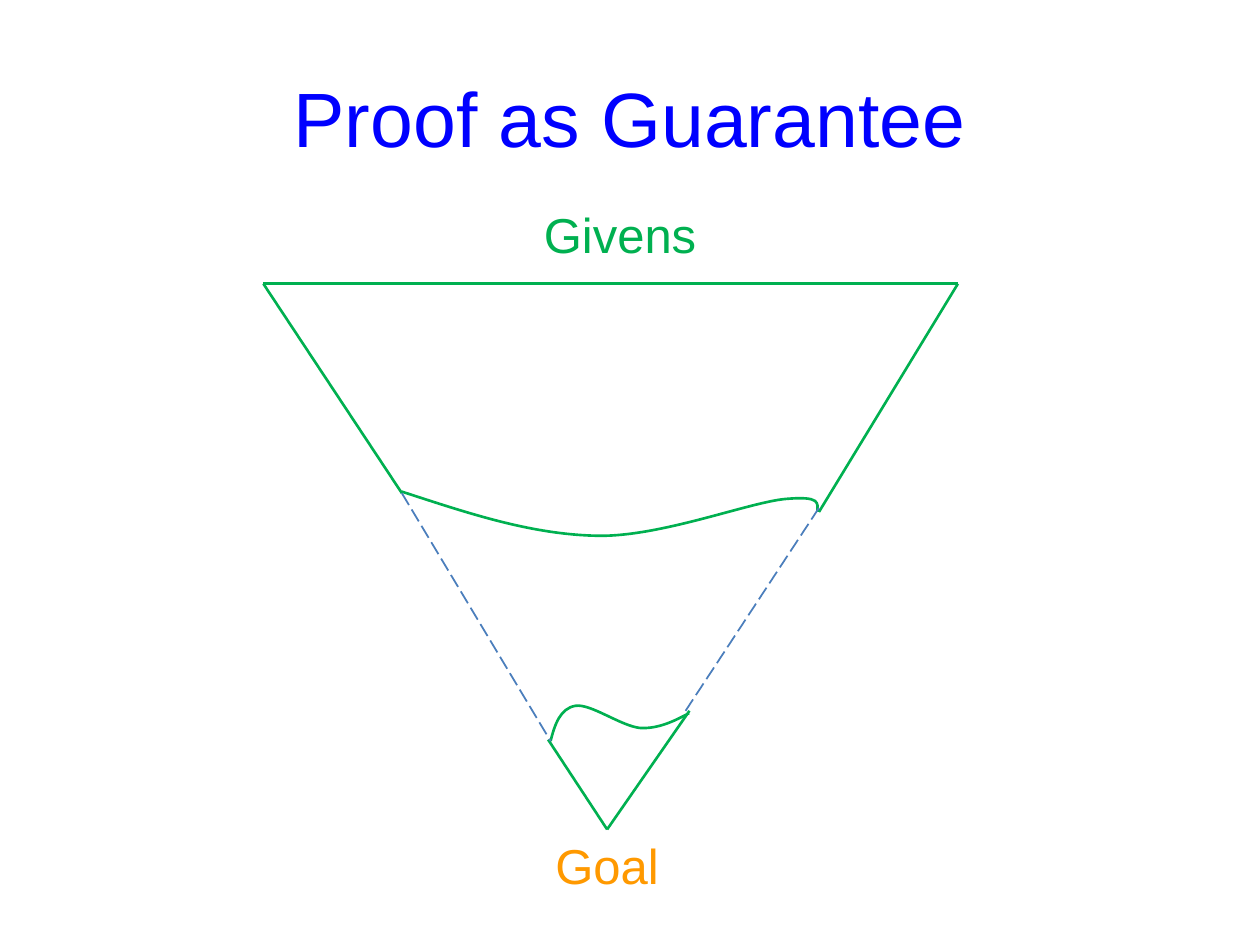
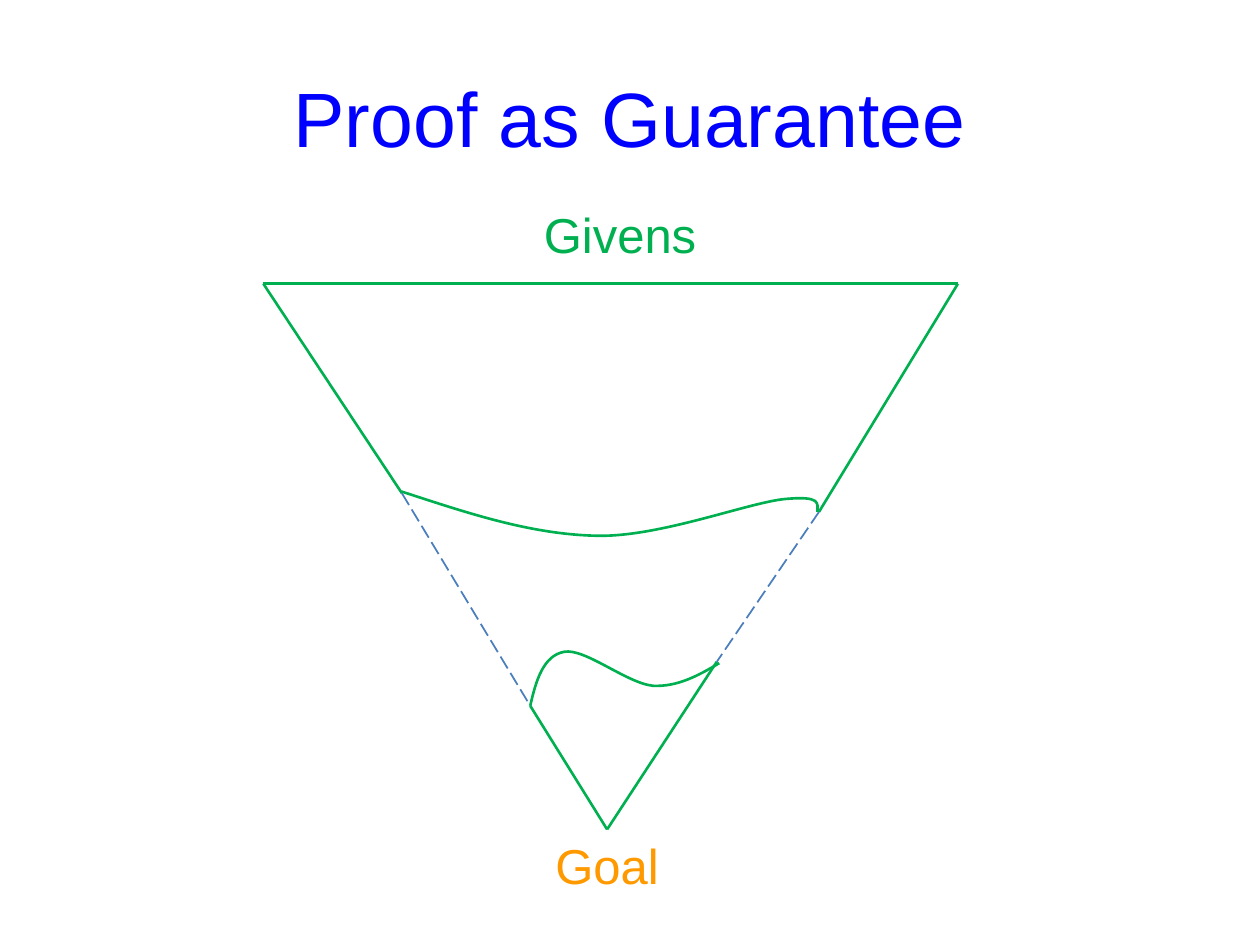
from dataclasses import dataclass

from lxml.etree import SubElement
from pptx import Presentation
from pptx.dml.color import RGBColor
from pptx.enum.dml import MSO_LINE
from pptx.enum.shapes import MSO_CONNECTOR
from pptx.enum.text import MSO_ANCHOR, PP_ALIGN
from pptx.oxml.ns import qn
from pptx.util import Cm, Pt

TITLE_BLUE = RGBColor(0x00, 0x00, 0xFF)
PROOF_GREEN = RGBColor(0x00, 0xB0, 0x50)
GOAL_ORANGE = RGBColor(0xFF, 0x99, 0x00)
GAP_BLUE = RGBColor(0x4B, 0x7E, 0xBC)
FONT = "Arial"

TITLE_ONLY_LAYOUT = 5
TITLE_BOX = (1.27, 0.76, 22.86, 3.18)

# Diagram lengths are centimetres from the top left corner of the triangle.
TRIANGLE_ORIGIN = (5.31, 5.72)
LABEL_SIZE = (4.72, 1.45)
TOP_LEFT, TOP_RIGHT, APEX = (0, 0), (14, 0), (6.93, 11)
LEFT_BREAK, RIGHT_BREAK = (2.79, 4.22), (11.2, 4.6)
UPPER_EDGE_BOX = (2.79, 4.19, 8.38, 0.89)

# Torn edges: a start point, then three Bezier points a curve, as fractions of a box.
UPPER_EDGE = [(0, 0), (0.16, 0.49), (0.31, 0.97), (0.47, 1), (0.62, 1.03),
              (0.83, 0.26), (0.92, 0.17), (1.01, 0.09), (1, 0.26), (1, 0.46)]
LOWER_EDGE = [(0, 1), (0.03, 0.53), (0.07, 0.07), (0.18, 0), (0.29, -0.07),
              (0.51, 0.58), (0.65, 0.63), (0.78, 0.65), (0.89, 0.44), (1, 0.21)]


@dataclass
class GoalPiece:
    """The solid tip above the goal and the dashed gaps that reach it."""
    left_end: tuple
    right_end: tuple
    edge_box: tuple
    left_gap_end: tuple
    right_gap_start: tuple
    right_gap_end: tuple


GOAL_PIECES = [
    GoalPiece((5.74, 9.19), (8.59, 8.61), (5.79, 8.51, 2.79, 0.71),
              (5.79, 9.22), (11.2, 4.52), (8.51, 8.61)),
    GoalPiece((5.38, 8.51), (9.14, 7.62), (5.38, 7.42, 3.81, 1.09),
              (5.38, 8.51), RIGHT_BREAK, (9.14, 7.62)),
]


def from_origin(origin, point):
    return Cm(origin[0] + point[0]), Cm(origin[1] + point[1])


def format_text(shape, text, size, color):
    text_frame = shape.text_frame
    text_frame.text = text
    text_frame.word_wrap = True
    paragraph = text_frame.paragraphs[0]
    paragraph.alignment = PP_ALIGN.CENTER
    font = paragraph.runs[0].font
    font.name, font.size, font.color.rgb = FONT, Pt(size), color


def add_title(slide, text):
    title = slide.shapes.title
    title.left, title.top, title.width, title.height = map(Cm, TITLE_BOX)
    format_text(title, text, 44, TITLE_BLUE)
    title.text_frame.vertical_anchor = MSO_ANCHOR.MIDDLE


def add_label(slide, origin, position, text, color):
    label = slide.shapes.add_textbox(*from_origin(origin, position), *map(Cm, LABEL_SIZE))
    format_text(label, text, 28, color)
    return label


def add_line(slide, origin, start, end, color=PROOF_GREEN, width=1.5):
    connector = slide.shapes.add_connector(
        MSO_CONNECTOR.STRAIGHT, *from_origin(origin, start), *from_origin(origin, end))
    connector.line.color.rgb = color
    connector.line.width = Pt(width)
    SubElement(connector._element.spPr, qn("a:effectLst"))
    return connector


def add_gap(slide, origin, start, end):
    gap = add_line(slide, origin, start, end, GAP_BLUE, 1)
    gap.line.dash_style = MSO_LINE.LONG_DASH


def add_torn_edge(slide, origin, box, fractions):
    """Draw a smooth open curve through Bezier points scaled to the box."""
    left, top, width, height = box
    points = [from_origin(origin, (left + x * width, top + y * height))
              for x, y in fractions]
    builder = slide.shapes.build_freeform(*points[0])
    builder.add_line_segments(points[1:], close=False)
    edge = builder.convert_to_shape()
    outline = next(edge._element.iter(qn("a:path")))
    segments = outline.findall(qn("a:lnTo"))
    for first in range(0, len(segments), 3):
        curve = SubElement(outline, qn("a:cubicBezTo"))
        for segment in segments[first:first + 3]:
            curve.append(segment[0])
            outline.remove(segment)
    edge.fill.background()
    edge.line.color.rgb = PROOF_GREEN
    edge.line.width = Pt(1.5)
    edge.shadow.inherit = False


def add_givens_region(slide, origin):
    add_label(slide, origin, (4.83, -1.73), "Givens", PROOF_GREEN)
    for start, end in [(TOP_LEFT, TOP_RIGHT), (TOP_LEFT, LEFT_BREAK),
                       (TOP_RIGHT, RIGHT_BREAK)]:
        add_line(slide, origin, start, end)
    add_torn_edge(slide, origin, UPPER_EDGE_BOX, UPPER_EDGE)


def add_goal_region(slide, origin, piece):
    label_position = (APEX[0] - LABEL_SIZE[0] / 2, APEX[1])
    goal = add_label(slide, origin, label_position, "Goal", GOAL_ORANGE)
    for end in (piece.left_end, piece.right_end):
        add_line(slide, origin, APEX, end).begin_connect(goal, 0)
    add_torn_edge(slide, origin, piece.edge_box, LOWER_EDGE)
    add_gap(slide, origin, LEFT_BREAK, piece.left_gap_end)
    add_gap(slide, origin, piece.right_gap_start, piece.right_gap_end)


def add_proof_slide(presentation, piece):
    slide = presentation.slides.add_slide(presentation.slide_layouts[TITLE_ONLY_LAYOUT])
    add_title(slide, "Proof as Guarantee")
    add_givens_region(slide, TRIANGLE_ORIGIN)
    add_goal_region(slide, TRIANGLE_ORIGIN, piece)


def main():
    presentation = Presentation()
    presentation.slide_width, presentation.slide_height = Cm(25.4), Cm(19.05)
    for piece in GOAL_PIECES:
        add_proof_slide(presentation, piece)
    presentation.save("out.pptx")


if __name__ == "__main__":
    main()
